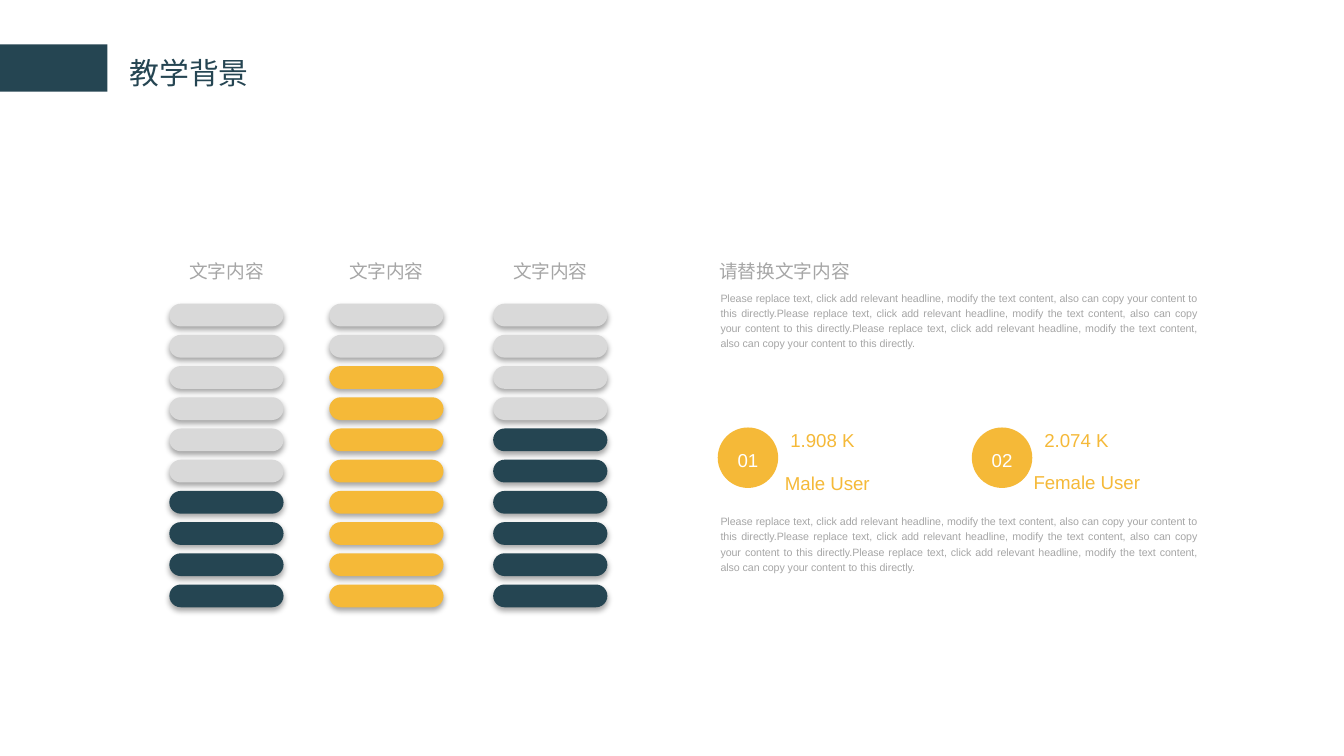
from lxml import etree
from pptx import Presentation
from pptx.dml.color import RGBColor
from pptx.enum.shapes import MSO_SHAPE
from pptx.enum.text import MSO_ANCHOR, MSO_AUTO_SIZE, PP_ALIGN
from pptx.oxml.ns import qn
from pptx.util import Pt

RECTANGLE = MSO_SHAPE.RECTANGLE
PILL = MSO_SHAPE.ROUNDED_RECTANGLE
CIRCLE = MSO_SHAPE.OVAL
MIDDLE = MSO_ANCHOR.MIDDLE
GROW = MSO_AUTO_SIZE.SHAPE_TO_FIT_TEXT
LEFT, CENTER, JUSTIFY = PP_ALIGN.LEFT, PP_ALIGN.CENTER, PP_ALIGN.JUSTIFY

NAVY, GOLD, SILVER, GRAY, WHITE = "254552", "F5B938", "D9D9D9", "A6A6A6", "FFFFFF"

PILL_COUNT = 10
PILL_TOP, PILL_PITCH = 162.7, 16.72
PILL_WIDTH, PILL_HEIGHT = 61.2, 12.2
COLUMNS = [(90.7, 6, NAVY), (176.4, 2, GOLD), (264.2, 4, NAVY)]
USERS = [
    (384.5, "01", "1.908 K", "Male User", 420.5, 250.6, 46),
    (520.6, "02", "2.074 K", "Female User", 553.7, 249.8, 57.6),
]
SENTENCE = (
    "Please replace text, click add relevant headline, modify the text content, "
    "also can copy your content to this directly."
)


def color(hex_string):
    """Turn a hex string into a colour."""
    return RGBColor.from_string(hex_string)


def write(frame, text, size, ink, align, spacing=1.2, font="Arial"):
    """Write one styled paragraph into a text frame."""
    para = frame.paragraphs[0]
    para.text = text
    para.alignment = align
    para.line_spacing = spacing
    para.font.name = font
    para.font.size = Pt(size)
    para.font.color.rgb = color(ink)


def set_margins(frame, across=0, down=0):
    """Set the inner margins of a text frame."""
    frame.margin_left = frame.margin_right = Pt(across)
    frame.margin_top = frame.margin_bottom = Pt(down)


def add_text(page, box, text, size, ink, align=JUSTIFY, wrap=True,
             spacing=1.2, font="Arial", margins=(0, 0)):
    """Add a text box that grows with its text."""
    frame = page.shapes.add_textbox(*map(Pt, box)).text_frame
    frame.word_wrap = wrap
    frame.auto_size = GROW
    set_margins(frame, *margins)
    write(frame, text, size, ink, align, spacing, font)


def add_block(page, kind, box, fill):
    """Add a plain filled shape without line or shadow."""
    shape = page.shapes.add_shape(kind, *map(Pt, box))
    shape.shadow.inherit = False
    shape.fill.solid()
    shape.fill.fore_color.rgb = color(fill)
    shape.line.fill.background()
    return shape


def add_shadow(shape):
    """Give a shape a soft black shadow below it."""
    effects = shape._element.spPr.find(qn("a:effectLst"))
    shadow = etree.SubElement(
        effects, qn("a:outerShdw"), blurRad=str(Pt(3.1)), dist=str(Pt(1.8)),
        dir="5400000", algn="t", rotWithShape="0")
    black = etree.SubElement(shadow, qn("a:srgbClr"), val="000000")
    etree.SubElement(black, qn("a:alpha"), val="35000")


def add_column(page, left, empty_count, fill):
    """Add a labelled stack of pills whose upper ones are empty."""
    add_text(page, (left + 2.9, 139, 55.4, 12.2), "文字内容", 10, GRAY,
             CENTER, spacing=1)
    for row in range(PILL_COUNT):
        box = (left, PILL_TOP + row * PILL_PITCH, PILL_WIDTH, PILL_HEIGHT)
        pill = add_block(page, PILL, box, SILVER if row < empty_count else fill)
        pill.adjustments[0] = 0.5
        add_shadow(pill)


def add_user(page, left, number, value, name, name_left, name_top, name_width):
    """Add a numbered circle with a value and a user group."""
    circle = add_block(page, CIRCLE, (left, 229, 32.4, 32.4), GOLD)
    frame = circle.text_frame
    frame.vertical_anchor = MIDDLE
    set_margins(frame)
    write(frame, number, 10, WHITE, CENTER)
    add_text(page, (left + 38.9, 227.5, 34.6, 14.4), value, 10, GOLD, wrap=False)
    add_text(page, (name_left, name_top, name_width, 14.4), name, 10, GOLD,
             wrap=False)


def main():
    """Build and save the slide."""
    deck = Presentation()
    deck.slide_width, deck.slide_height = Pt(720), Pt(405)
    page = deck.slides.add_slide(deck.slide_layouts[6])

    add_block(page, RECTANGLE, (0, 23.8, 57.6, 25.4), NAVY)
    add_text(page, (64, 26.6, 75.6, 25.2), "教学背景", 16, NAVY, LEFT, wrap=False,
             spacing=1, font="Calibri", margins=(5.4, 2.7))
    for column in COLUMNS:
        add_column(page, *column)
    add_text(page, (385.4, 136.8, 229, 14.4), "请替换文字内容", 10, GRAY)
    for top in (154.8, 274.5):
        add_text(page, (386, top, 255.6, 33.1), SENTENCE * 3, 5.7, GRAY)
    for user in USERS:
        add_user(page, *user)

    deck.save("out.pptx")


if __name__ == "__main__":
    main()
